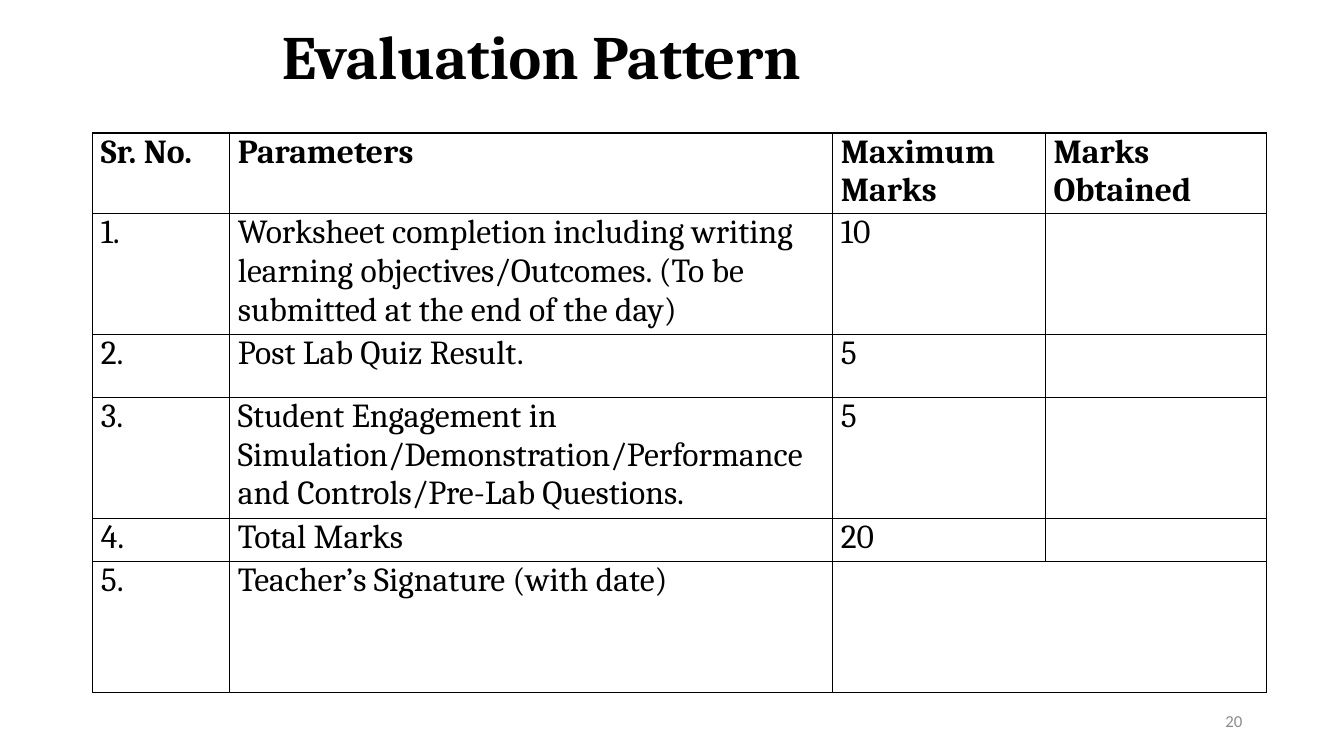
from dataclasses import dataclass

from lxml import etree
from pptx import Presentation
from pptx.dml.color import RGBColor
from pptx.enum.text import MSO_ANCHOR, PP_ALIGN
from pptx.oxml.ns import qn
from pptx.util import Inches, Pt


@dataclass(frozen=True)
class Theme:
    ink: str = "000000"
    paper: str = "FFFFFF"
    muted: str = "8C8C8C"
    serif: str = "Cambria"
    sans: str = "Calibri"
    title: int = 44
    body: int = 24
    number: int = 12
    border: int = 1


THEME = Theme()
COLUMNS = (1.36, 5.98, 2.11, 2.19)
# Row height followed by the cell texts
ROWS = (
    (0.78, "Sr. No.", "Parameters", "Maximum Marks", "Marks Obtained"),
    (1.15, "1.", "Worksheet completion including writing learning "
     "objectives/Outcomes. (To be submitted at the end of the day)", "10", ""),
    (0.62, "2.", "Post Lab Quiz Result.", "5", ""),
    (1.15, "3.", "Student Engagement in Simulation/Demonstration/Performance "
     "and Controls/Pre-Lab Questions.", "5", ""),
    (0.43, "4.", "Total Marks", "20", ""),
    (1.3, "5.", "Teacher’s Signature (with date)", "", ""),
)


def add_run(p, text, font, size, color, bold=False):
    r = p.add_run()
    r.text = text
    r.font.name = font
    r.font.size = Pt(size)
    r.font.bold = bold
    r.font.color.rgb = RGBColor.from_string(color)


def add_text(slide, box, align):
    """Add a middle-anchored text box and return its first paragraph."""
    tf = slide.shapes.add_textbox(*map(Inches, box)).text_frame
    tf.word_wrap = True
    tf.vertical_anchor = MSO_ANCHOR.MIDDLE
    p = tf.paragraphs[0]
    p.alignment = align
    return p


def add_title(slide, box, text):
    p = add_text(slide, box, PP_ALIGN.CENTER)
    p.line_spacing = 0.9
    add_run(p, text, THEME.serif, THEME.title, THEME.ink, bold=True)


def add_slide_number(slide, box, text):
    p = add_text(slide, box, PP_ALIGN.RIGHT)
    add_run(p, text, THEME.sans, THEME.number, THEME.muted)


def set_borders(cell):
    props = cell._tc.get_or_add_tcPr()
    for i, side in enumerate(("lnL", "lnR", "lnT", "lnB")):
        line = etree.Element(qn(f"a:{side}"), w=str(Pt(THEME.border)))
        fill = etree.SubElement(line, qn("a:solidFill"))
        etree.SubElement(fill, qn("a:srgbClr"), val=THEME.ink)
        props.insert(i, line)


def format_cell(cell):
    cell.margin_left = Inches(0.08)
    cell.margin_right = cell.margin_top = cell.margin_bottom = 0
    cell.fill.solid()
    cell.fill.fore_color.rgb = RGBColor.from_string(THEME.paper)
    set_borders(cell)


def add_marks_table(slide, left, top):
    height = sum(row[0] for row in ROWS)
    box = map(Inches, (left, top, sum(COLUMNS), height))
    table = slide.shapes.add_table(len(ROWS), len(COLUMNS), *box).table
    table.horz_banding = False
    for column, width in zip(table.columns, COLUMNS):
        column.width = Inches(width)
    for i, (row_height, *texts) in enumerate(ROWS):
        table.rows[i].height = Inches(row_height)
        for j, text in enumerate(texts):
            cell = table.cell(i, j)
            format_cell(cell)
            if text:
                add_run(cell.text_frame.paragraphs[0], text, THEME.serif,
                        THEME.body, THEME.ink, bold=i == 0)
    last = len(ROWS) - 1
    table.cell(last, 2).merge(table.cell(last, 3))


def main():
    prs = Presentation()
    prs.slide_width, prs.slide_height = Inches(13.33), Inches(7.5)
    slide = prs.slides.add_slide(prs.slide_layouts[6])
    add_title(slide, (1.8, 0, 7.14, 1.18), "Evaluation Pattern")
    add_marks_table(slide, 0.92, 1.32)
    add_slide_number(slide, (9.42, 6.95, 3, 0.4), "20")
    prs.save("out.pptx")


if __name__ == "__main__":
    main()
